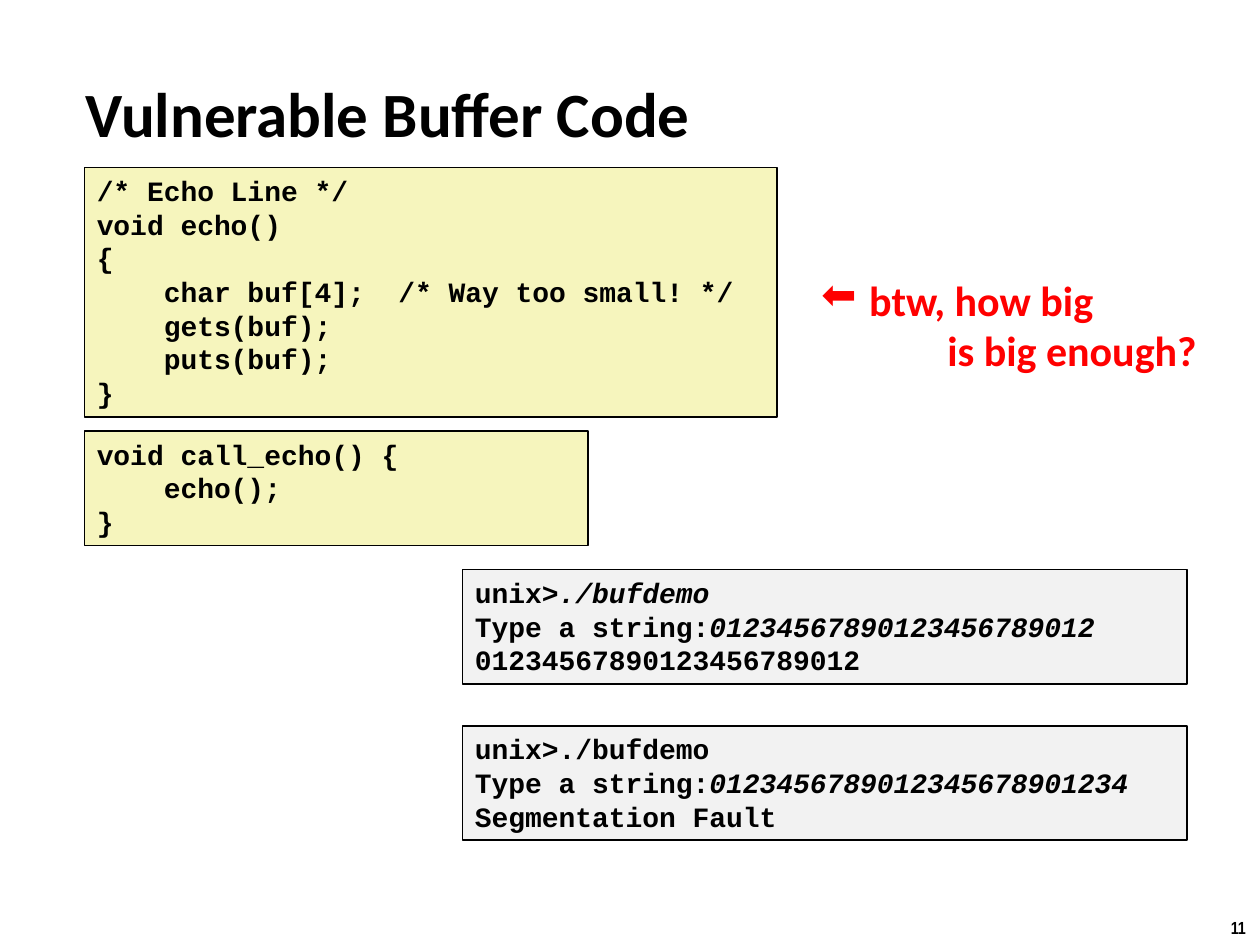
from dataclasses import dataclass

from lxml import etree
from pptx import Presentation
from pptx.dml.color import RGBColor
from pptx.enum.shapes import MSO_SHAPE
from pptx.enum.text import MSO_ANCHOR, PP_ALIGN
from pptx.oxml.ns import qn
from pptx.util import Inches, Pt


@dataclass(frozen=True)
class Theme:
    """Colours, fonts and type sizes of the slide."""
    ink: RGBColor = RGBColor(0, 0, 0)
    accent: RGBColor = RGBColor(255, 0, 0)
    code_fill: RGBColor = RGBColor(0xF6, 0xF5, 0xBD)
    terminal_fill: RGBColor = RGBColor(0xF2, 0xF2, 0xF2)
    text_font: str = "Calibri"
    code_font: str = "Courier New"
    number_font: str = "Arial Narrow"
    title_size: int = 36
    note_size: int = 24
    code_size: int = 16
    number_size: int = 10


THEME = Theme()


def style(paragraph, name, size, color=THEME.ink):
    """Set the bold face that all runs of a paragraph share."""
    font = paragraph.font
    font.name, font.size, font.bold = name, Pt(size), True
    font.color.rgb = color


def place_title(slide, box, text):
    """Move and format the title placeholder."""
    title = slide.shapes.title
    title.left, title.top, title.width, title.height = map(Inches, box)
    frame = title.text_frame
    frame.text = text
    frame.vertical_anchor = MSO_ANCHOR.MIDDLE
    paragraph = frame.paragraphs[0]
    paragraph.alignment = PP_ALIGN.LEFT
    style(paragraph, THEME.text_font, THEME.title_size)


def add_listing(slide, box, fill, lines):
    """Add a framed listing; each line is (plain text, typed input in italics)."""
    panel = slide.shapes.add_shape(MSO_SHAPE.RECTANGLE, *map(Inches, box))
    panel.shadow.inherit = False
    panel.fill.solid()
    panel.fill.fore_color.rgb = fill
    panel.line.color.rgb = THEME.ink
    panel.line.width = Pt(1)
    frame = panel.text_frame
    frame.word_wrap = True
    frame.vertical_anchor = MSO_ANCHOR.TOP
    for index, (plain, typed) in enumerate(lines):
        paragraph = frame.add_paragraph() if index else frame.paragraphs[0]
        paragraph.alignment = PP_ALIGN.LEFT
        style(paragraph, THEME.code_font, THEME.code_size)
        if plain:
            paragraph.add_run().text = plain
        if typed:
            run = paragraph.add_run()
            run.text = typed
            run.font.italic = True


def add_code(slide, box, source):
    """Add a listing of program source."""
    add_listing(slide, box, THEME.code_fill,
                [(line, "") for line in source.splitlines()])


def add_note(slide, box, question, continuation):
    """Add the red question with its arrow bullet and indented second line."""
    frame = slide.shapes.add_textbox(*map(Inches, box)).text_frame
    frame.word_wrap = False
    frame.text = f"{question}\n{continuation}"
    for paragraph, margin, indent in zip(frame.paragraphs, (0.38, 1), (-0.38, 0)):
        style(paragraph, THEME.text_font, THEME.note_size, THEME.accent)
        properties = paragraph._p.get_or_add_pPr()
        properties.set("marL", str(Inches(margin)))
        properties.set("indent", str(Inches(indent)))
    bullet = etree.Element(qn("a:buChar"), char="\u2b05")
    frame.paragraphs[0]._p.get_or_add_pPr().insert(0, bullet)


def add_page_number(slide, box, number):
    """Add the page number in the corner."""
    frame = slide.shapes.add_textbox(*map(Inches, box)).text_frame
    frame.word_wrap = False
    frame.text = number
    style(frame.paragraphs[0], THEME.number_font, THEME.number_size)


ECHO = """/* Echo Line */
void echo()
{
    char buf[4];  /* Way too small! */
    gets(buf);
    puts(buf);
}"""

CALL_ECHO = """void call_echo() {
    echo();
}"""

SESSIONS = [
    [("unix>", "./bufdemo"),
     ("Type a string:", "01234567890123456789012"),
     ("01234567890123456789012", "")],
    [("unix>./bufdemo", ""),
     ("Type a string:", "0123456789012345678901234"),
     ("Segmentation Fault", "")],
]


def build_slide(deck):
    """Lay out the slide: title, source, question and terminal sessions."""
    slide = deck.slides.add_slide(deck.slide_layouts[5])
    place_title(slide, (0.58, 0.58, 7.01, 0.63), "Vulnerable Buffer Code")
    add_code(slide, (0.67, 3.42, 4, 0.91), CALL_ECHO)
    add_code(slide, (0.67, 1.33, 5.5, 1.98), ECHO)
    for index, session in enumerate(SESSIONS):
        add_listing(slide, (3.67, 4.52 + 1.24 * index, 5.75, 0.91),
                    THEME.terminal_fill, session)
    add_note(slide, (6.42, 2.13, 3.21, 0.91), "btw, how big ", "is big enough?")
    add_page_number(slide, (9.67, 7.23, 0.34, 0.27), "11")


deck = Presentation()
deck.slide_width, deck.slide_height = Inches(10), Inches(7.5)
build_slide(deck)
deck.save("out.pptx")
